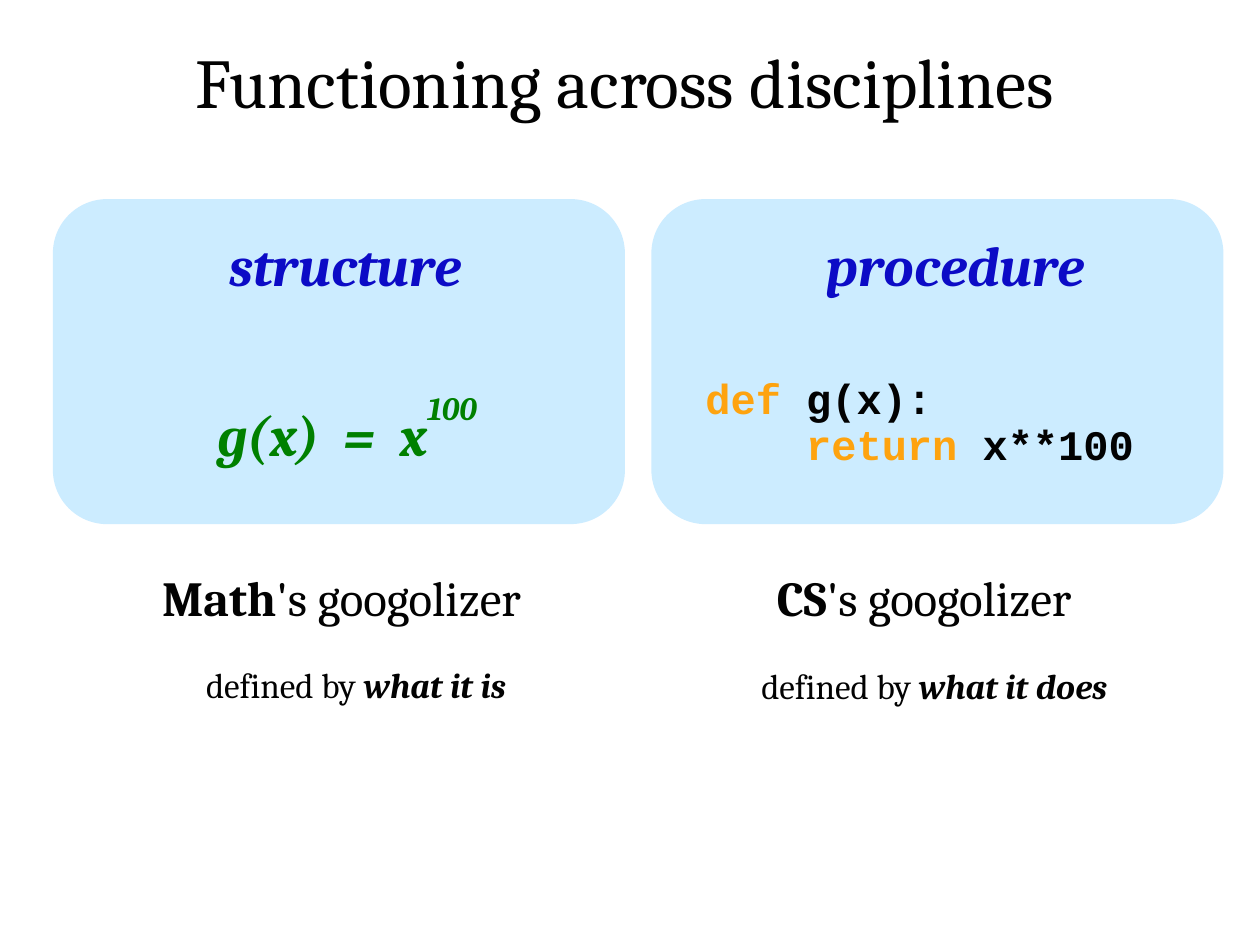
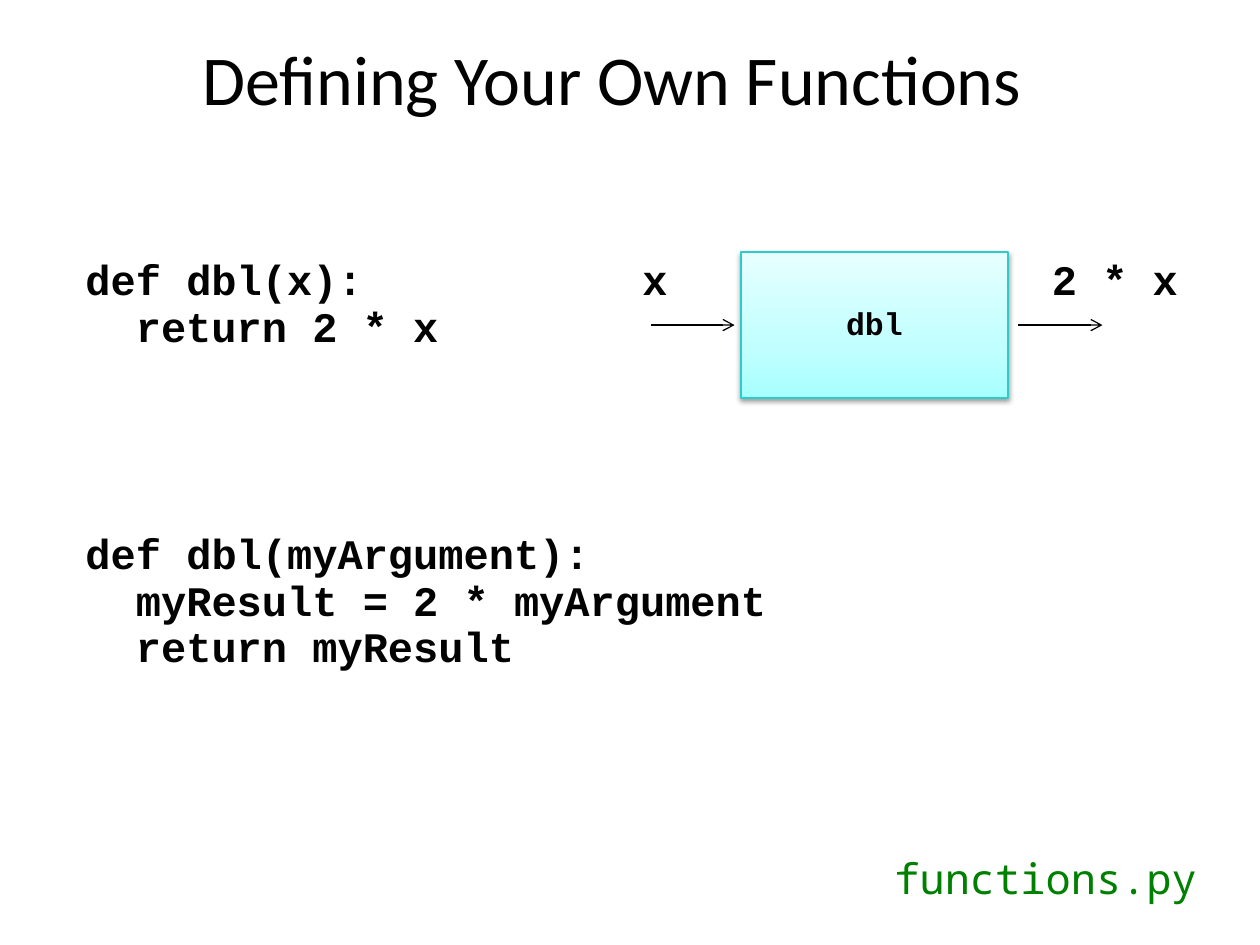
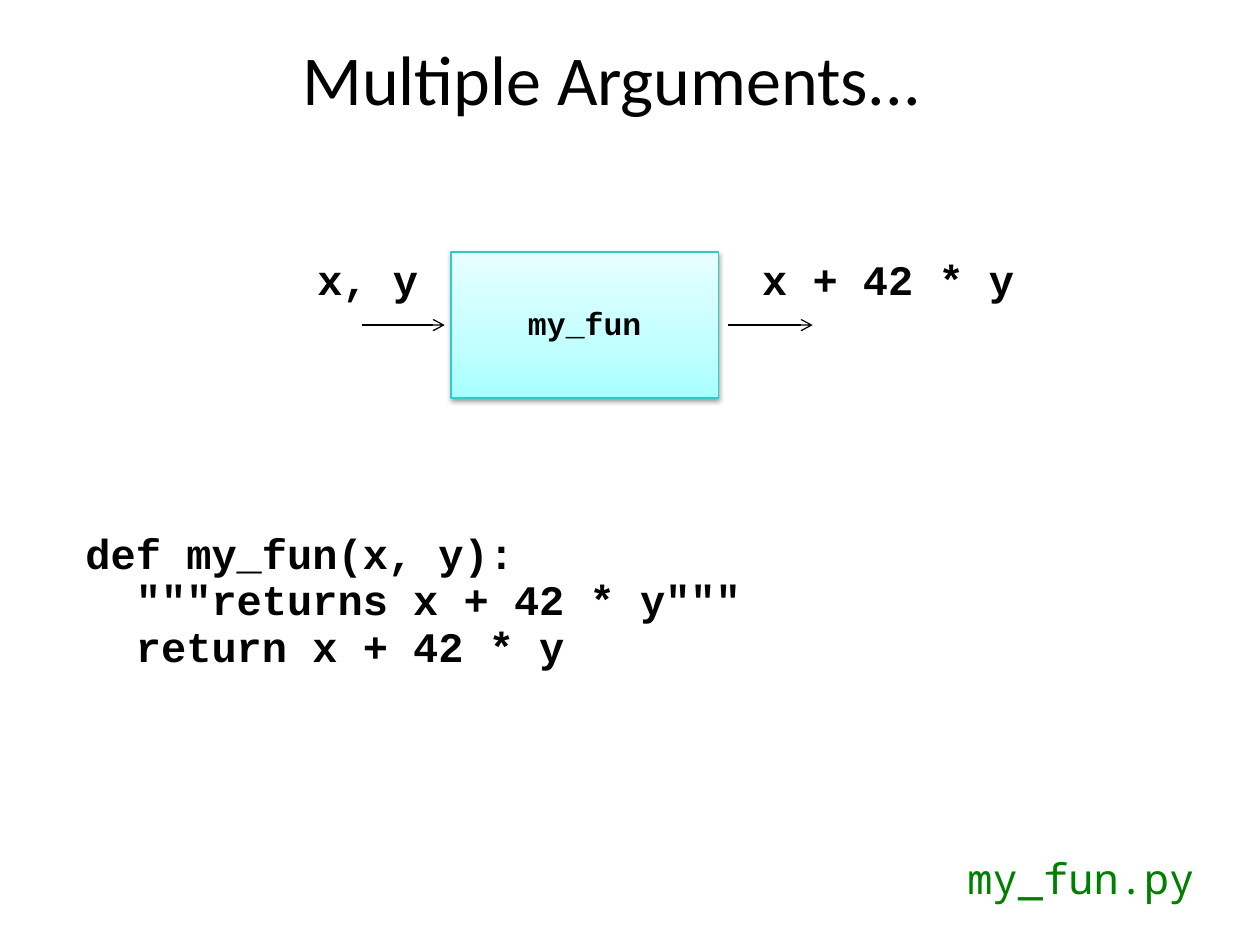
import copy
from dataclasses import dataclass, field

import pptx
import pptx.dml.color
import pptx.enum.shapes
import pptx.enum.text
import pptx.oxml.ns
import pptx.util
from lxml import etree

Inches = pptx.util.Inches
Pt = pptx.util.Pt
qn = pptx.oxml.ns.qn
RGB = pptx.dml.color.RGBColor.from_string
ALIGN = pptx.enum.text.PP_ALIGN
SHAPES = pptx.enum.shapes.MSO_SHAPE


def font_style(name, size, color, **extra):
    return {"name": name, "size": Pt(size), "color": RGB(color), **extra}


@dataclass
class Theme:
    ink: str = "020202"
    green: str = "008000"
    keyword: str = "FEA30F"
    heading: str = "0C0BC6"
    panel: str = "CCECFF"
    machine_edge: str = "2ECBCB"
    machine_fill: tuple = ((0, "A7FFFF"), (0.35, "C1FFFF"), (1, "E7FFFF"))
    line_spacing: float = 0.93
    code_char: float = 0.2
    styles: dict = field(default_factory=dict)

    def __post_init__(self):
        serif, mono = "Cambria", "Courier New"
        strong = {"bold": True, "italic": True}
        self.styles = {
            "serif title": font_style(serif, 40, self.ink),
            "title": font_style("Calibri", 40, self.ink),
            "heading": font_style(serif, 32, self.heading, **strong),
            "formula": font_style(serif, 32, self.green, **strong),
            "owner": font_style(serif, 28, self.ink, bold=True),
            "caption": font_style(serif, 28, self.ink),
            "note": font_style(serif, 20, self.ink),
            "strong note": font_style(serif, 20, self.ink, **strong),
            "code": font_style(mono, 24, self.ink, bold=True),
            "keyword": font_style(mono, 24, self.keyword, bold=True),
            "machine": font_style(mono, 18, self.ink, bold=True),
            "file": font_style("Noto Sans Mono", 24, self.green),
        }


THEME = Theme()


# Text
def add_run(paragraph, text, style, baseline=None):
    run = paragraph.add_run()
    run.text = text
    for attribute, value in THEME.styles[style].items():
        if attribute == "color":
            run.font.color.rgb = value
        else:
            setattr(run.font, attribute, value)
    if baseline:
        run._r.get_or_add_rPr().set("baseline", str(baseline * 1000))


def format_paragraph(paragraph, align, spacing, half_before=False, indent=0):
    paragraph.alignment = align
    paragraph.line_spacing = spacing
    properties = paragraph._p.get_or_add_pPr()
    if half_before:
        before = properties.get_or_add_spcBef()
        etree.SubElement(before, qn("a:spcPct"), val="50000")
    if indent:
        properties.set("marL", str(Inches(indent * THEME.code_char)))
        properties.set("indent", "0")


def add_text(slide, box, lines, align=ALIGN.CENTER, spacing=THEME.line_spacing,
             half_before=True, wrap=True, indents=()):
    """Each line is a list of runs; indents count code characters per line."""
    frame = slide.shapes.add_textbox(*map(Inches, box)).text_frame
    frame.word_wrap = wrap
    frame.auto_size = pptx.enum.text.MSO_AUTO_SIZE.SHAPE_TO_FIT_TEXT
    for index, runs in enumerate(lines):
        paragraph = frame.add_paragraph() if index else frame.paragraphs[0]
        indent = indents[index] if indents else 0
        format_paragraph(paragraph, align, spacing, half_before, indent)
        for run in runs:
            add_run(paragraph, *run)


def add_title(slide, text):
    add_text(slide, (0.48, 0.29, 8.75, 0.73), [[(text, "title")]])


def add_code(slide, box, lines, style="code"):
    """The first line is flush, the body is indented by two characters."""
    add_text(slide, box, [[(line, style)] for line in lines], ALIGN.LEFT,
             half_before=False, wrap=False,
             indents=[0] + [2] * (len(lines) - 1))


# Shapes
def add_panel(slide, left):
    panel = slide.shapes.add_shape(
        SHAPES.ROUNDED_RECTANGLE, *map(Inches, (left, 1.58, 4.54, 2.58)))
    panel.shadow.inherit = False
    panel.fill.solid()
    panel.fill.fore_color.rgb = RGB(THEME.panel)
    panel.line.fill.background()


def add_arrow(slide, start, end, y):
    arrow = slide.shapes.add_connector(
        pptx.enum.shapes.MSO_CONNECTOR.STRAIGHT,
        *map(Inches, (start, y, end, y)))
    arrow.line.color.rgb = RGB(THEME.ink)
    arrow.line.width = Pt(0.75)
    etree.SubElement(arrow.line._get_or_add_ln(), qn("a:tailEnd"), type="arrow")
    etree.SubElement(arrow._element.spPr, qn("a:effectLst"))


def fill_gradient(shape):
    shape.fill.gradient()
    shape.fill.gradient_angle = 90
    stop_list = shape._element.spPr.find(".//" + qn("a:gsLst"))
    stop_list.append(copy.deepcopy(stop_list[0]))
    for stop, (position, color) in zip(shape.fill.gradient_stops,
                                       THEME.machine_fill):
        stop.position = position
        stop.color.rgb = RGB(color)


def add_soft_shadow(shape):
    shape.shadow.inherit = False
    effects = shape._element.spPr.find(qn("a:effectLst"))
    shadow = etree.SubElement(
        effects, qn("a:outerShdw"), blurRad=str(Pt(3.1)), dist=str(Pt(1.6)),
        dir="5400000", rotWithShape="0")
    color = etree.SubElement(shadow, qn("a:srgbClr"), val="000000")
    etree.SubElement(color, qn("a:alpha"), val="38000")


def add_machine(slide, left, name, argument, result):
    """A function box with its arrows and (text, left, width) labels."""
    top, width, height = 2, 2.12, 1.16
    machine = slide.shapes.add_shape(
        SHAPES.RECTANGLE, *map(Inches, (left, top, width, height)))
    fill_gradient(machine)
    machine.line.color.rgb = RGB(THEME.machine_edge)
    machine.line.width = Pt(0.75)
    add_soft_shadow(machine)
    machine.text_frame.vertical_anchor = pptx.enum.text.MSO_ANCHOR.MIDDLE
    paragraph = machine.text_frame.paragraphs[0]
    format_paragraph(paragraph, ALIGN.CENTER, THEME.line_spacing)
    add_run(paragraph, name, "machine")

    middle = top + height / 2
    add_arrow(slide, left - 0.71, left - 0.05, middle)
    add_arrow(slide, left + 2.2, left + 2.87, middle)
    for text, label_left, label_width in (argument, result):
        add_code(slide, (label_left, top, label_width, 0.51), [text])


# Slides
def build_disciplines(slide):
    for left in (5.17, 0.42):
        add_panel(slide, left)
    add_text(slide, (0.58, 0.32, 8.75, 0.77),
             [[("Functioning across disciplines", "serif title")]])

    # Panel contents
    for left, heading in ((1.58, "structure"), (6.42, "procedure")):
        add_text(slide, (left, 1.83, 2.33, 0.64), [[(heading, "heading")]])
    add_text(slide, (1.42, 3.17, 2.67, 0.53),
             [[("g(x)  =  x", "formula"), ("100", "formula", 64)]], spacing=0.8)
    add_text(slide, (5.5, 3.08, 3.94, 0.7),
             [[("def", "keyword"), (" g(x):", "code")],
              [("return", "keyword"), (" x**100", "code")]],
             ALIGN.LEFT, spacing=0.5, indents=(0, 4))

    # Captions below the panels
    for left, width, owner in ((0.67, 4.08, "Math"), (5.75, 3.17, "CS")):
        add_text(slide, (left, 4.5, width, 0.57),
                 [[(owner, "owner"), ("'s googolizer", "caption")]])
    for box, definition, spacing, half_before in (
            ((1, 5.25, 3.65, 0.42), "what it is", 0.93, False),
            ((5.75, 5.29, 3.33, 0.38), "what it does", 0.8, True)):
        add_text(slide, box,
                 [[("defined by ", "note"), (definition, "strong note")]],
                 spacing=spacing, half_before=half_before)


def build_own_functions(slide):
    add_title(slide, "Defining Your Own Functions")
    add_code(slide, (0.58, 2, 3.03, 0.91), ["def dbl(x):", "return 2 * x"])
    add_machine(slide, 5.88, "dbl", ("x", 5, 0.4), ("2 * x", 8.25, 1.21))
    add_code(slide, (0.58, 4.17, 5.85, 1.31),
             ["def dbl(myArgument):", "myResult = 2 * myArgument",
              "return myResult"])
    add_code(slide, (7, 6.75, 2.63, 0.48), ["functions.py"], "file")


def build_multiple_arguments(slide):
    add_title(slide, "Multiple Arguments...")
    add_machine(slide, 3.58, "my_fun", ("x, y", 2.42, 1.01),
                ("x + 42 * y", 5.95, 2.22))
    add_code(slide, (0.58, 4.17, 5.45, 1.23),
             ["def my_fun(x, y):", '"""returns x + 42 * y"""',
              "return x + 42 * y"])
    add_code(slide, (7.58, 6.75, 2.02, 0.48), ["my_fun.py"], "file")


def main():
    deck = pptx.Presentation()
    deck.slide_width, deck.slide_height = Inches(10), Inches(7.5)
    blank = deck.slide_layouts[6]
    for build in (build_disciplines, build_own_functions,
                  build_multiple_arguments):
        build(deck.slides.add_slide(blank))
    deck.save("out.pptx")


if __name__ == "__main__":
    main()
